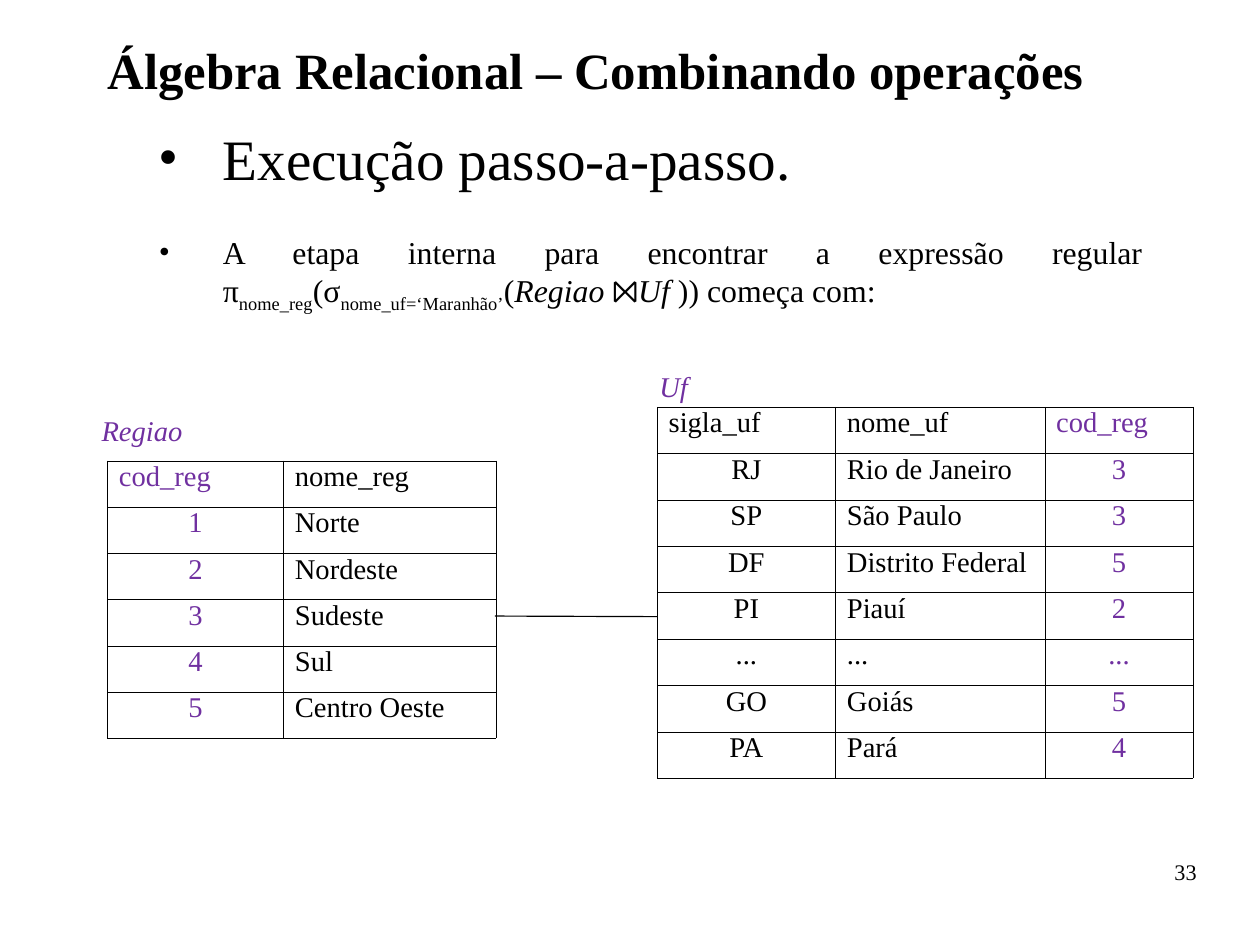
from lxml.etree import SubElement
from pptx import Presentation
from pptx.dml.color import RGBColor
from pptx.enum.shapes import MSO_CONNECTOR
from pptx.enum.text import MSO_ANCHOR, MSO_AUTO_SIZE, PP_ALIGN
from pptx.oxml.ns import qn
from pptx.util import Cm, Inches, Pt

BLACK = "000000"
PURPLE = "7030A0"
FONT = "Times New Roman"
GRID_STEP = Inches(0.1)
KEY_FIELD = "cod_reg"

REGIONS = [
    (KEY_FIELD, "nome_reg"),
    ("1", "Norte"),
    ("2", "Nordeste"),
    ("3", "Sudeste"),
    ("4", "Sul"),
    ("5", "Centro Oeste"),
]
STATES = [
    ("sigla_uf", "nome_uf", KEY_FIELD),
    ("RJ", "Rio de Janeiro", "3"),
    ("SP", "São Paulo", "3"),
    ("DF", "Distrito Federal", "5"),
    ("PI", "Piauí", "2"),
    ("...", "...", "..."),
    ("GO", "Goiás", "5"),
    ("PA", "Pará", "4"),
]
EXPRESSION = [
    ("A etapa interna para encontrar a expressão regular  π", {}),
    ("nome_reg", {"subscript": True}),
    ("(σ", {}),
    ("nome_uf=‘Maranhão’", {"subscript": True}),
    ("(", {}),
    ("Regiao", {"italic": True}),
    (" ⨝", {}),
    ("Uf ", {"italic": True}),
    (")) começa com:", {}),
]


def color(value):
    return RGBColor.from_string(value)


def grid(*steps):
    return [round(step * GRID_STEP) for step in steps]


def write(paragraph, text, size=18, ink=BLACK, bold=False, italic=False, subscript=False):
    run = paragraph.add_run()
    run.text = text
    run.font.name = FONT
    run.font.size = Pt(size)
    run.font.bold = bold
    run.font.italic = italic
    run.font.color.rgb = color(ink)
    if subscript:
        run.font._element.set("baseline", "-25000")


class SlideBuilder:
    def __init__(self, slide):
        self.slide = slide

    def text_box(self, left, top, width, height, margins=(0, 0)):
        shape = self.slide.shapes.add_textbox(*grid(left, top, width, height))
        frame = shape.text_frame
        frame.word_wrap = True
        frame.vertical_anchor = MSO_ANCHOR.TOP
        frame.margin_left, frame.margin_top = grid(*margins)
        frame.margin_right, frame.margin_bottom = grid(*margins)
        return frame

    def line_of_text(self, area, text, align=PP_ALIGN.LEFT, spacing=1.0, **style):
        paragraph = self.text_box(*area).paragraphs[0]
        paragraph.alignment = align
        paragraph.line_spacing = spacing
        write(paragraph, text, **style)

    def table_label(self, left, top, text):
        frame = self.text_box(left, top, 17.3, 4, margins=(1, 0.5))
        frame.auto_size = MSO_AUTO_SIZE.SHAPE_TO_FIT_TEXT
        write(frame.paragraphs[0], text, ink=PURPLE, italic=True)

    def bullet(self, paragraph, pieces, size, space_before=0):
        properties = paragraph._p.get_or_add_pPr()
        properties.set("marL", str(Inches(1.06)))
        properties.set("indent", str(-Inches(0.56)))
        bullet_color = SubElement(properties, qn("a:buClr"))
        SubElement(bullet_color, qn("a:srgbClr"), val=BLACK)
        SubElement(properties, qn("a:buFont"), typeface=FONT)
        SubElement(properties, qn("a:buChar"), char="•")
        paragraph.level = 1
        paragraph.alignment = PP_ALIGN.JUSTIFY
        paragraph.space_before = Pt(space_before)
        for text, style in pieces:
            write(paragraph, text, size=size, **style)

    def cell_borders(self, cell):
        properties = cell._tc.get_or_add_tcPr()
        for side in ("lnL", "lnR", "lnT", "lnB"):
            border = SubElement(properties, qn(f"a:{side}"), w=str(Pt(0.06)))
            fill = SubElement(border, qn("a:solidFill"))
            SubElement(fill, qn("a:srgbClr"), val=BLACK)

    def table(self, left, top, height, column_widths, records):
        header = records[0]
        frame = self.slide.shapes.add_table(
            len(records), len(header), *grid(left, top, sum(column_widths), height))
        table = frame.table
        table.first_row = False
        table.horz_banding = False
        for column, width in zip(table.columns, grid(*column_widths)):
            column.width = width
        for row_index, record in enumerate(records):
            for column_index, text in enumerate(record):
                cell = table.cell(row_index, column_index)
                self.cell_borders(cell)
                cell.fill.background()
                field = header[column_index]
                centred = row_index > 0 and not field.startswith("nome")
                paragraph = cell.text_frame.paragraphs[0]
                paragraph.alignment = PP_ALIGN.CENTER if centred else PP_ALIGN.LEFT
                paragraph.line_spacing = 0.8
                write(paragraph, text, ink=PURPLE if field == KEY_FIELD else BLACK)

    def line(self, *ends):
        connector = self.slide.shapes.add_connector(MSO_CONNECTOR.STRAIGHT, *grid(*ends))
        connector.line.color.rgb = color(BLACK)
        connector.line.width = Pt(0.75)
        SubElement(connector._element.spPr, qn("a:effectLst"))


def main():
    presentation = Presentation()
    presentation.slide_width = Cm(28)
    presentation.slide_height = Cm(21)
    builder = SlideBuilder(presentation.slides.add_slide(presentation.slide_layouts[6]))

    builder.line_of_text((9.4, 3.9, 95.3, 6.7), "Álgebra Relacional – Combinando operações",
                         spacing=0.93, size=32, bold=True)
    body = builder.text_box(8.9, 10.6, 95.3, 59.8, margins=(0, 0.2))
    builder.bullet(body.paragraphs[0], [("Execução passo-a-passo.", {})], size=36)
    builder.bullet(body.add_paragraph(), EXPRESSION, size=20, space_before=25.5)
    builder.line_of_text((79, 75.3, 25.7, 5.7), "33",
                         align=PP_ALIGN.RIGHT, spacing=0.95, size=14)

    builder.table(9.4, 40.3, 24.3, (15.4, 18.6), REGIONS)
    builder.table_label(7.9, 35.6, "Regiao")
    builder.table(57.5, 35.6, 32.5, (15.6, 18.3, 13), STATES)
    builder.line(43.3, 53.9, 57.5, 53.95)
    builder.table_label(56.7, 31.8, "Uf")

    presentation.save("out.pptx")


if __name__ == "__main__":
    main()
